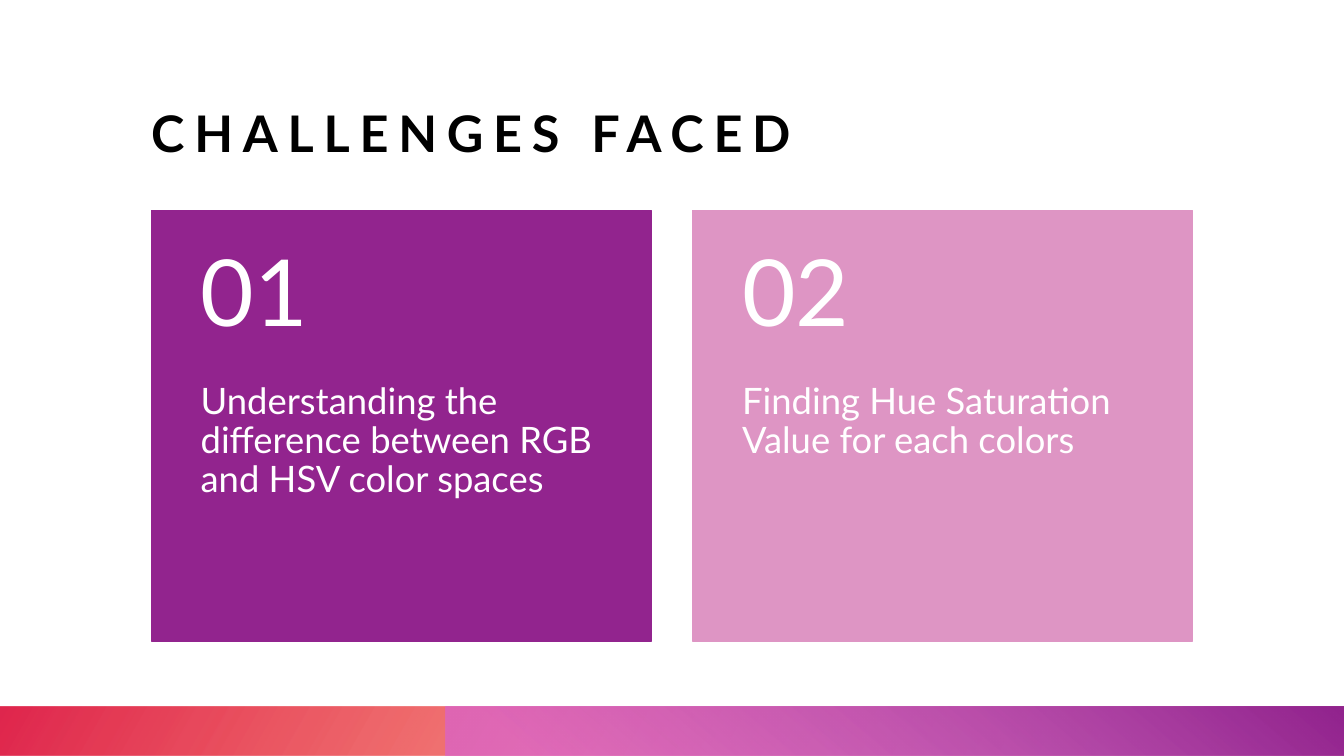
import pptx
import pptx.dml.color
import pptx.enum.shapes
import pptx.enum.text
import pptx.oxml
import pptx.oxml.ns
import pptx.util

WIDTH, HEIGHT = 13.33, 7.5
MARGIN, GUTTER = 1.5, 0.41
CARD_TOP, CARD_HEIGHT = 2.09, 4.27
CARD_WIDTH = (WIDTH - 2 * MARGIN - GUTTER) / 2
NUMBER_SHARE = 0.4
BAR_TOP = 7.01
CARDS = [
    ("01", "Understanding the difference between RGB and HSV color spaces", "92248E"),
    ("02", "Finding Hue Saturation Value for each colors", "DE95C4"),
]
BARS = [
    (0, 180, 150, [(14, "FE4A00", 28), (100, "DA002F", 85)]),
    (4.42, 0, 230, [(9, "D861D4", 68), (99, "92248E", 100)]),
]


def paint(color, value):
    """Set a colour from a hex string."""
    color.rgb = pptx.dml.color.RGBColor.from_string(value)


def inches(*lengths):
    """Turn lengths in inches into slide units."""
    return [pptx.util.Inches(length) for length in lengths]


def add_rectangle(shapes, left, top, width, height):
    """Add a rectangle without a shadow."""
    rectangle = shapes.add_shape(
        pptx.enum.shapes.MSO_SHAPE.RECTANGLE, *inches(left, top, width, height))
    rectangle.shadow.inherit = False
    return rectangle


def add_bar(shapes, left, rotation, angle, stops):
    """Add a mirrored gradient bar from left to the slide's right edge."""
    bar = add_rectangle(shapes, left, BAR_TOP, WIDTH - left, HEIGHT - BAR_TOP)
    bar.rotation = rotation
    bar.element.spPr.xfrm.set("flipH", "1")
    bar.line.fill.background()
    bar.fill.gradient()
    bar.fill.gradient_angle = 360 - angle
    for stop, (position, value, opacity) in zip(bar.fill.gradient_stops, stops):
        stop.position = position / 100
        paint(stop.color, value)
        if opacity < 100:
            tint = bar.element.spPr.findall(".//" + pptx.oxml.ns.qn("a:srgbClr"))[-1]
            for candidate in bar.element.spPr.iter(pptx.oxml.ns.qn("a:srgbClr")):
                if candidate.get("val") == value:
                    tint = candidate
            alpha = pptx.oxml.parse_xml(
                f'<a:alpha {pptx.oxml.ns.nsdecls("a")} val="{opacity * 1000}"/>')
            tint.append(alpha)


def add_text(shapes, place, words, size, value, anchor, insets=(0, 0, 0, 0)):
    """Add a wrapped text box and return its run."""
    frame = shapes.add_textbox(*inches(*place)).text_frame
    frame.word_wrap = True
    frame.vertical_anchor = anchor
    (frame.margin_left, frame.margin_top,
     frame.margin_right, frame.margin_bottom) = inches(*insets)
    paragraph = frame.paragraphs[0]
    paragraph.line_spacing = 0.9
    run = paragraph.add_run()
    run.text = words
    run.font.name = "Lato"
    run.font.size = pptx.util.Pt(size)
    paint(run.font.color, value)
    return run


def add_card(shapes, column, number, challenge, value):
    """Add a numbered challenge card in the given column."""
    anchors = pptx.enum.text.MSO_ANCHOR
    card = shapes.add_group_shape().shapes
    left = MARGIN + column * (CARD_WIDTH + GUTTER)
    number_height = CARD_HEIGHT * NUMBER_SHARE
    panel = add_rectangle(card, left, CARD_TOP, CARD_WIDTH, CARD_HEIGHT)
    panel.fill.solid()
    paint(panel.fill.fore_color, value)
    paint(panel.line.color, value)
    panel.line.width = pptx.util.Pt(1)
    add_text(card, (left, CARD_TOP + number_height, CARD_WIDTH, CARD_HEIGHT - number_height),
             challenge, 26, "FFFFFF", anchors.TOP, (0.49, 0, 0.49, 0.36))
    add_text(card, (left, CARD_TOP, CARD_WIDTH, number_height),
             number, 66, "FFFFFF", anchors.MIDDLE, (0.49, 0.18, 0.49, 0.18))


def main():
    """Build the slide of challenges and save it."""
    deck = pptx.Presentation()
    deck.slide_width, deck.slide_height = inches(WIDTH, HEIGHT)
    shapes = deck.slides.add_slide(deck.slide_layouts[6]).shapes
    heading = add_text(shapes, (MARGIN, 0.52, WIDTH - 2 * MARGIN, 1.1),
                       "CHALLENGES FACED", 36, "000000", pptx.enum.text.MSO_ANCHOR.BOTTOM)
    heading.font.bold = True
    heading.font.element.set("spc", "700") if hasattr(heading.font, "element") else \
        heading._r.get_or_add_rPr().set("spc", "700")
    for bar in BARS:
        add_bar(shapes, *bar)
    for column, card in enumerate(CARDS):
        add_card(shapes, column, *card)
    deck.save("out.pptx")


main()
